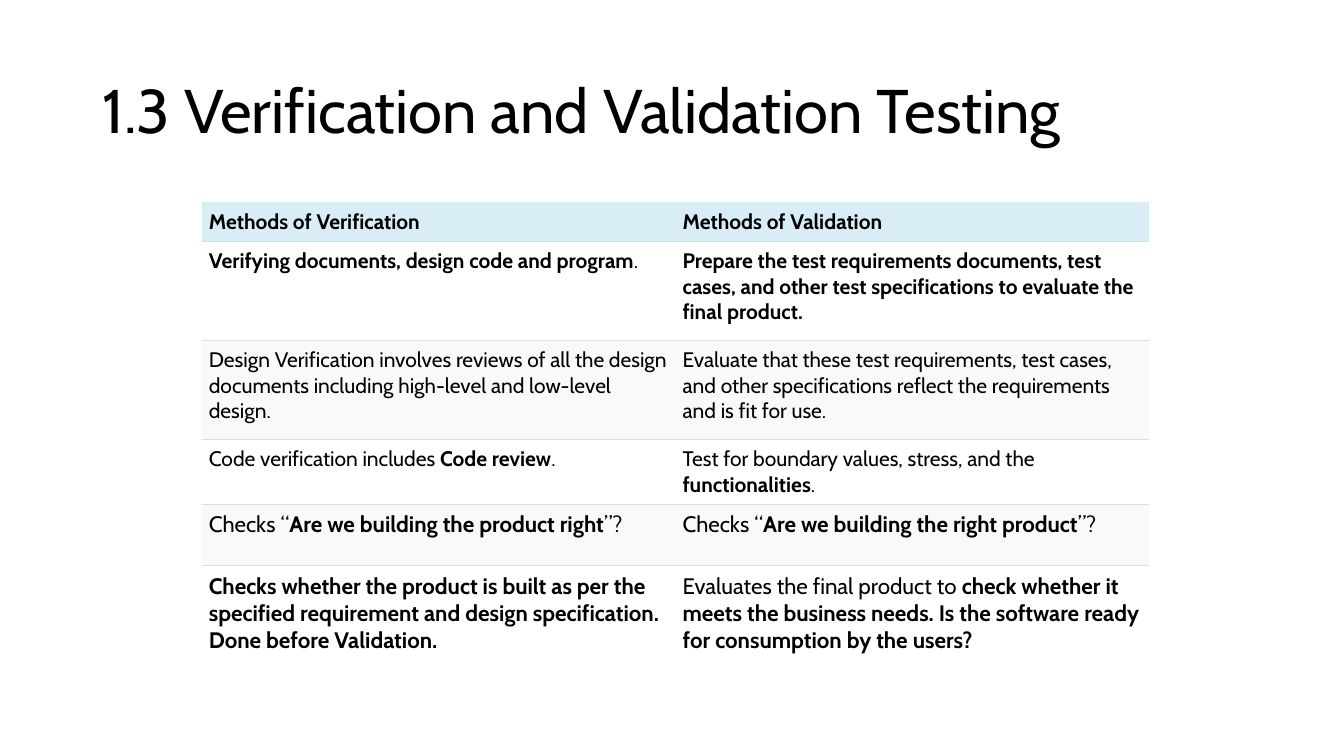
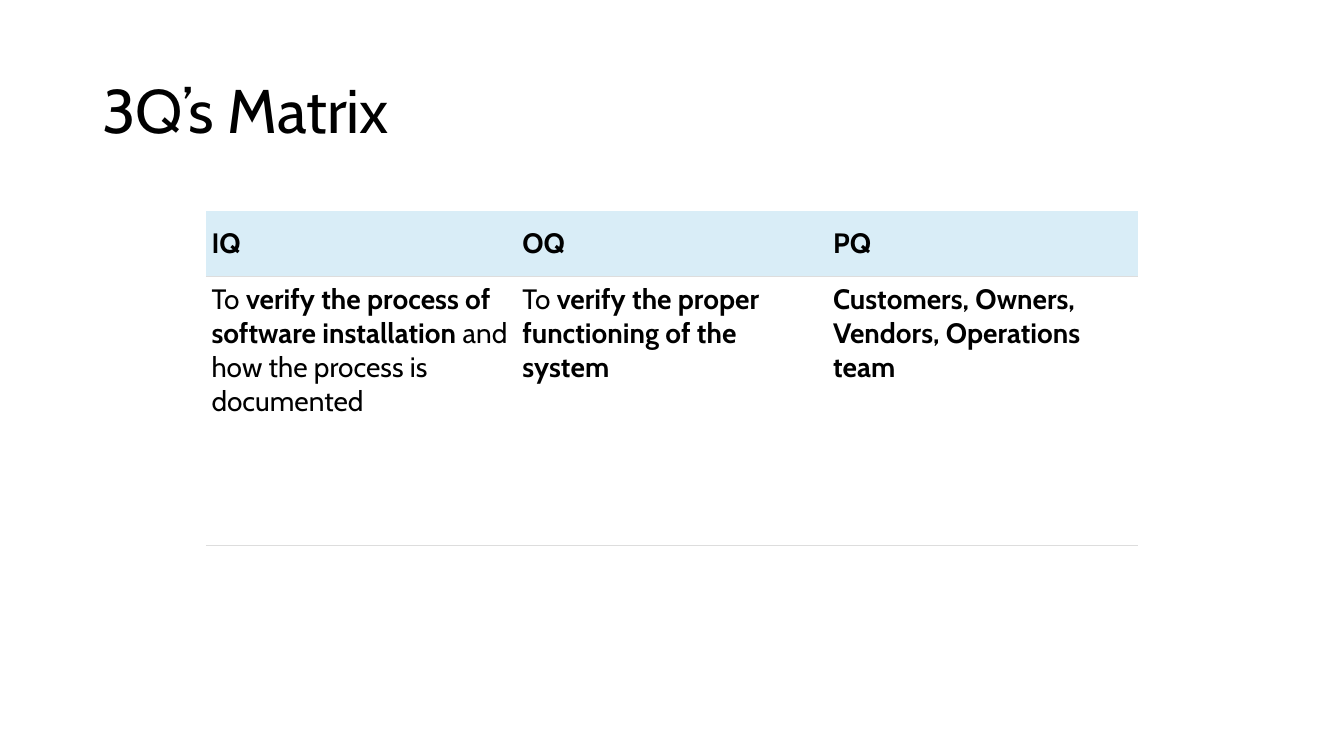
import pptx
import pptx.dml.color
import pptx.enum.text
import pptx.oxml
import pptx.oxml.ns
import pptx.util

Pt = pptx.util.Pt
ANCHOR = pptx.enum.text.MSO_ANCHOR

COLORS = {"text": "000000", "header": "D9EDF7", "plain": "FFFFFF",
          "stripe": "F9F9F9", "rule": "DDDDDD"}
FONT = "Cabin"
TITLE_AREA = (66, 28.8, 828, 104.4)
TITLE_SIZE = 44
RULE_WIDTH = 0.75

# Text between ** marks is bold. Each row is (height, text size, cell texts).
SLIDES = [
    {
        "title": "1.3 Verification and Validation Testing",
        "origin": (144, 144), "column_width": 338.4, "inset": 5.2, "closing_rule": False,
        "rows": [
            (26.6, 15, ["**Methods of Verification**", "**Methods of Validation**"]),
            (70.6, 15, ["**Verifying documents, design code and program**.",
                        "**Prepare the test requirements documents, test cases, and other "
                        "test specifications to evaluate the final product.**"]),
            (70.6, 15, ["Design Verification involves reviews of all the design documents "
                        "including high-level and low-level design.",
                        "Evaluate that these test requirements, test cases, and other "
                        "specifications reflect the requirements and is fit for use."]),
            (43.9, 15, ["Code verification includes **Code review**.",
                        "Test for boundary values, stress, and the **functionalities**."]),
            (43.9, 16, ["Checks “**Are we building the product right**”?",
                        "Checks “**Are we building the right product**”?"]),
            (85.7, 16, ["**Checks whether the product is built as per the specified "
                        "requirement and design specification. Done before Validation.**",
                        "Evaluates the final product to **check whether it meets the business "
                        "needs. Is the software ready for consumption by the users?**"]),
        ],
    },
    {
        "title": "3Q’s Matrix",
        "origin": (147, 150.6), "column_width": 222, "inset": 4.1, "closing_rule": True,
        "rows": [
            (46.8, 20, ["**IQ**", "**OQ**", "**PQ**"]),
            (192.2, 20, ["To **verify the process of software installation **and how the "
                         "process is documented",
                         "To **verify the proper functioning of the system**",
                         "**Customers, Owners, Vendors, Operations team**"]),
        ],
    },
]


def rgb(name):
    return pptx.dml.color.RGBColor.from_string(COLORS[name])


def apply_format(target, values):
    for name, value in values.items():
        setattr(target, name, value)


def write_text(frame, text, size):
    """Write one paragraph, switching bold at each ** mark."""
    para = frame.paragraphs[0]
    for index, piece in enumerate(text.split("**")):
        if piece:
            span = para.add_run()
            span.text = piece
            apply_format(span.font, {"name": FONT, "size": Pt(size), "bold": index % 2 == 1})
            span.font.color.rgb = rgb("text")
    return para


def set_borders(cell, ruled_sides):
    properties = cell._tc.get_or_add_tcPr()
    for position, side in enumerate("LRTB"):
        if side in ruled_sides:
            paint = f'<a:solidFill><a:srgbClr val="{COLORS["rule"]}"/></a:solidFill>'
        else:
            paint = "<a:noFill/>"
        line = pptx.oxml.parse_xml(
            f'<a:ln{side} {pptx.oxml.ns.nsdecls("a")} w="{Pt(RULE_WIDTH)}">{paint}</a:ln{side}>')
        properties.insert(position, line)


def add_title(page, text):
    box = page.shapes.add_textbox(*map(Pt, TITLE_AREA))
    apply_format(box.text_frame, {"word_wrap": True, "vertical_anchor": ANCHOR.MIDDLE})
    write_text(box.text_frame, text, TITLE_SIZE).line_spacing = 0.9


def add_grid(page, content):
    rows = content["rows"]
    column_count = len(rows[0][2])
    size = (content["column_width"] * column_count, sum(row[0] for row in rows))
    table = page.shapes.add_table(
        len(rows), column_count, *map(Pt, content["origin"] + size)).table
    apply_format(table, {"first_row": False, "horz_banding": False})
    for column in table.columns:
        column.width = Pt(content["column_width"])

    inset = Pt(content["inset"])
    margins = {f"margin_{side}": inset for side in ("left", "right", "top", "bottom")}
    for row_index, (height, text_size, texts) in enumerate(rows):
        is_header = row_index == 0
        is_last = row_index == len(rows) - 1
        fill = "header" if is_header else "plain" if row_index % 2 else "stripe"
        ruled_sides = "" if is_header else "T"
        if not is_last or content["closing_rule"]:
            ruled_sides += "B"
        table.rows[row_index].height = Pt(height)
        for column_index, text in enumerate(texts):
            cell = table.cell(row_index, column_index)
            apply_format(cell, margins)
            cell.vertical_anchor = ANCHOR.MIDDLE if is_header else ANCHOR.TOP
            cell.fill.solid()
            cell.fill.fore_color.rgb = rgb(fill)
            set_borders(cell, ruled_sides)
            write_text(cell.text_frame, text, text_size)


def main():
    deck = pptx.Presentation()
    apply_format(deck, {"slide_width": Pt(960), "slide_height": Pt(540)})
    for content in SLIDES:
        page = deck.slides.add_slide(deck.slide_layouts[6])
        add_title(page, content["title"])
        add_grid(page, content)
    deck.save("out.pptx")


if __name__ == "__main__":
    main()
